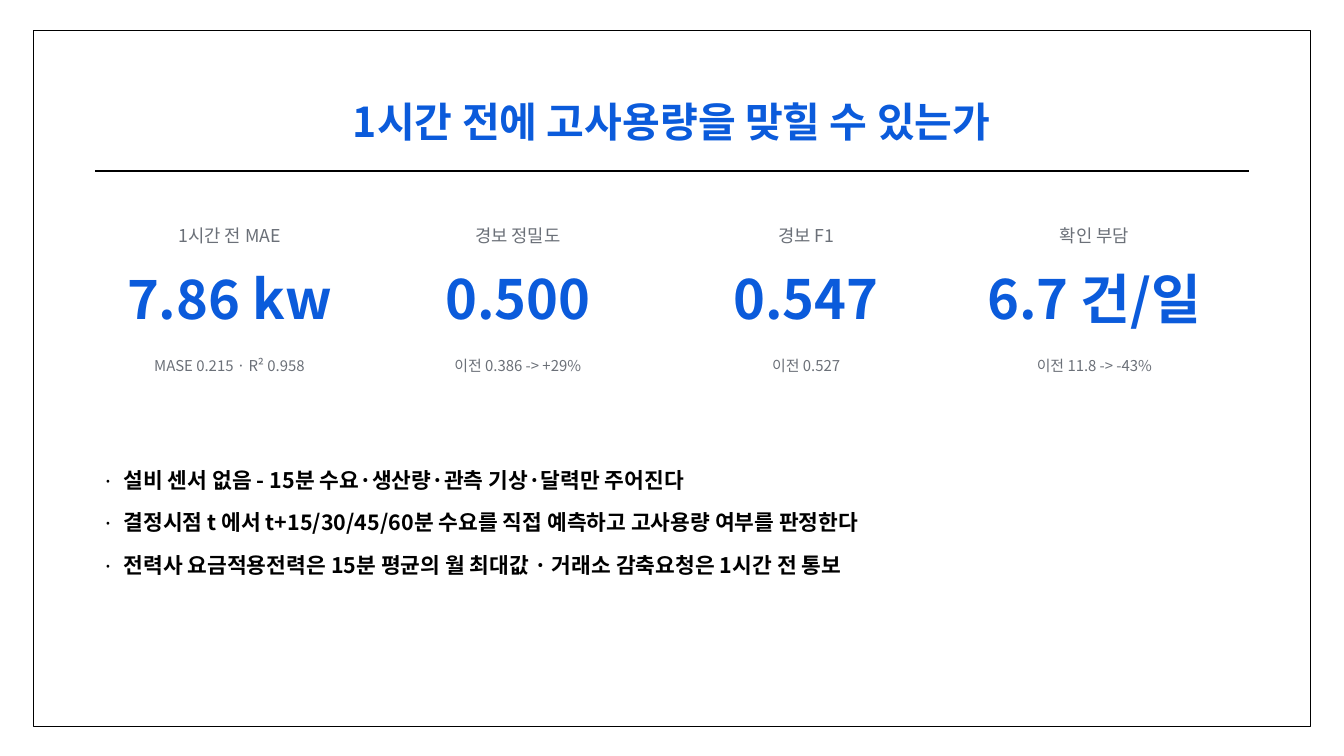
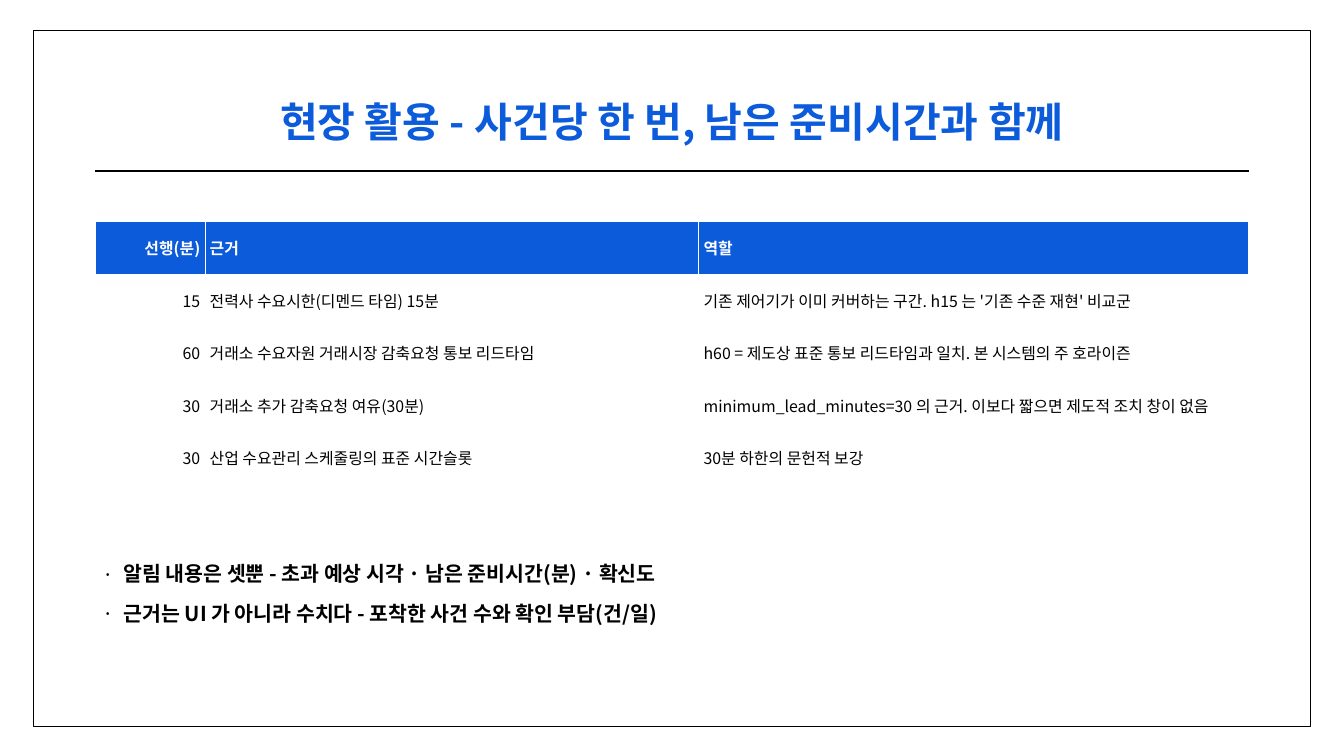
from lxml import etree
from pptx import Presentation
from pptx.dml.color import RGBColor
from pptx.enum.shapes import MSO_CONNECTOR, MSO_SHAPE
from pptx.enum.text import MSO_ANCHOR, MSO_AUTO_SIZE, PP_ALIGN
from pptx.oxml.ns import qn
from pptx.util import Inches, Pt

FONT = "Noto Sans CJK KR"
BLUE, GRAY, BLACK, WHITE = "0B5BDB", "6B7078", "000000", "FFFFFF"
LEFT, WIDTH = 1.42, 17.16
BULLET_INDENT = 0.32


def style(para, size, color, bold=False, align=PP_ALIGN.LEFT, after=None, bullet=False):
    para.alignment = align
    if after is not None:
        para.space_after = Pt(after)
    if bullet:
        properties = para._p.get_or_add_pPr()
        properties.set("marL", str(Inches(BULLET_INDENT)))
        properties.set("indent", str(-Inches(BULLET_INDENT)))
        etree.SubElement(properties, qn("a:buFont"), typeface=FONT)
        etree.SubElement(properties, qn("a:buChar"), char="·")
    font = para.font
    font.size, font.bold, font.name = Pt(size), bold, FONT
    font.color.rgb = RGBColor.from_string(color)
    # Korean letters take the East Asian font
    defaults = para._p.pPr.find(qn("a:defRPr"))
    etree.SubElement(defaults, qn("a:ea"), typeface=FONT)


def add_text(page, left, top, width, height, lines, *look, **options):
    box = page.shapes.add_textbox(Inches(left), Inches(top), Inches(width), Inches(height))
    frame = box.text_frame
    frame.word_wrap = True
    frame.auto_size = MSO_AUTO_SIZE.SHAPE_TO_FIT_TEXT
    frame.text = "\n".join(lines)
    for para in frame.paragraphs:
        style(para, *look, **options)


deck = Presentation()
deck.slide_width, deck.slide_height = Inches(20), Inches(11.25)

# Shared frame, title and rule
titles = ["1시간 전에 고사용량을 맞힐 수 있는가",
          "현장 활용 - 사건당 한 번, 남은 준비시간과 함께"]
pages = []
for title in titles:
    page = deck.slides.add_slide(deck.slide_layouts[6])
    border = page.shapes.add_shape(MSO_SHAPE.RECTANGLE, Inches(0.5), Inches(0.45),
                                   Inches(19), Inches(10.36))
    border.shadow.inherit = False
    border.fill.solid()
    border.fill.fore_color.rgb = RGBColor.from_string(WHITE)
    border.line.color.rgb = RGBColor.from_string(BLACK)
    border.line.width = Pt(0.75)
    rule = page.shapes.add_connector(MSO_CONNECTOR.STRAIGHT, Inches(LEFT), Inches(2.54),
                                     Inches(LEFT + WIDTH), Inches(2.54))
    rule.line.color.rgb = RGBColor.from_string(BLACK)
    rule.line.width = Pt(2.25)
    etree.SubElement(rule._element.spPr, qn("a:effectLst"))
    add_text(page, 2, 1.38, 16, 0.9, [title], 44, BLUE, True, PP_ALIGN.CENTER)
    pages.append(page)
metrics_page, usage_page = pages

# Slide 1: four metrics in equal columns
metrics = [
    ("1시간 전 MAE", "7.86 kw", "MASE 0.215 · R² 0.958"),
    ("경보 정밀도", "0.500", "이전 0.386 -> +29%"),
    ("경보 F1", "0.547", "이전 0.527"),
    ("확인 부담", "6.7 건/일", "이전 11.8 -> -43%"),
]
metric_rows = [(3.3, 0.5, 19, GRAY, False),
               (3.9, 1.1, 58, BLUE, True),
               (5.25, 0.8, 16, GRAY, False)]
for column, metric in enumerate(metrics):
    for text, (top, height, size, color, bold) in zip(metric, metric_rows):
        add_text(metrics_page, LEFT + column * WIDTH / 4, top, 3.99, height, [text],
                 size, color, bold, PP_ALIGN.CENTER, after=10)

add_text(metrics_page, LEFT, 6.9, WIDTH, 2.1, [
    "설비 센서 없음 - 15분 수요·생산량·관측 기상·달력만 주어진다",
    "결정시점 t 에서 t+15/30/45/60분 수요를 직접 예측하고 고사용량 여부를 판정한다",
    "전력사 요금적용전력은 15분 평균의 월 최대값 · 거래소 감축요청은 1시간 전 통보",
], 23, BLACK, True, after=18, bullet=True)

# Slide 2: lead time table
lead_times = [
    ("선행(분)", "근거", "역할"),
    ("15", "전력사 수요시한(디멘드 타임) 15분",
     "기존 제어기가 이미 커버하는 구간. h15 는 '기존 수준 재현' 비교군"),
    ("60", "거래소 수요자원 거래시장 감축요청 통보 리드타임",
     "h60 = 제도상 표준 통보 리드타임과 일치. 본 시스템의 주 호라이즌"),
    ("30", "거래소 추가 감축요청 여유(30분)",
     "minimum_lead_minutes=30 의 근거. 이보다 짧으면 제도적 조치 창이 없음"),
    ("30", "산업 수요관리 스케줄링의 표준 시간슬롯", "30분 하한의 문헌적 보강"),
]
table = usage_page.shapes.add_table(len(lead_times), 3, Inches(LEFT), Inches(3.3),
                                    Inches(WIDTH), Inches(3.9)).table
for column, width in zip(table.columns, (1.63, 7.35, 8.18)):
    column.width = Inches(width)
for row, texts in enumerate(lead_times):
    header = row == 0
    for column, text in enumerate(texts):
        cell = table.cell(row, column)
        cell.text = text
        cell.vertical_anchor = MSO_ANCHOR.MIDDLE
        cell.margin_left = cell.margin_right = Inches(0.07)
        cell.margin_top = cell.margin_bottom = Inches(0.05 if header else 0.01)
        cell.fill.solid()
        cell.fill.fore_color.rgb = RGBColor.from_string(BLUE if header else WHITE)
        style(cell.text_frame.paragraphs[0], 17, WHITE if header else BLACK, header,
              PP_ALIGN.RIGHT if column == 0 else PP_ALIGN.LEFT)

add_text(usage_page, LEFT, 8.3, WIDTH, 1.4, [
    "알림 내용은 셋뿐 - 초과 예상 시각 · 남은 준비시간(분) · 확신도",
    "근거는 UI 가 아니라 수치다 - 포착한 사건 수와 확인 부담(건/일)",
], 22, BLACK, True, after=16, bullet=True)

deck.save("out.pptx")
